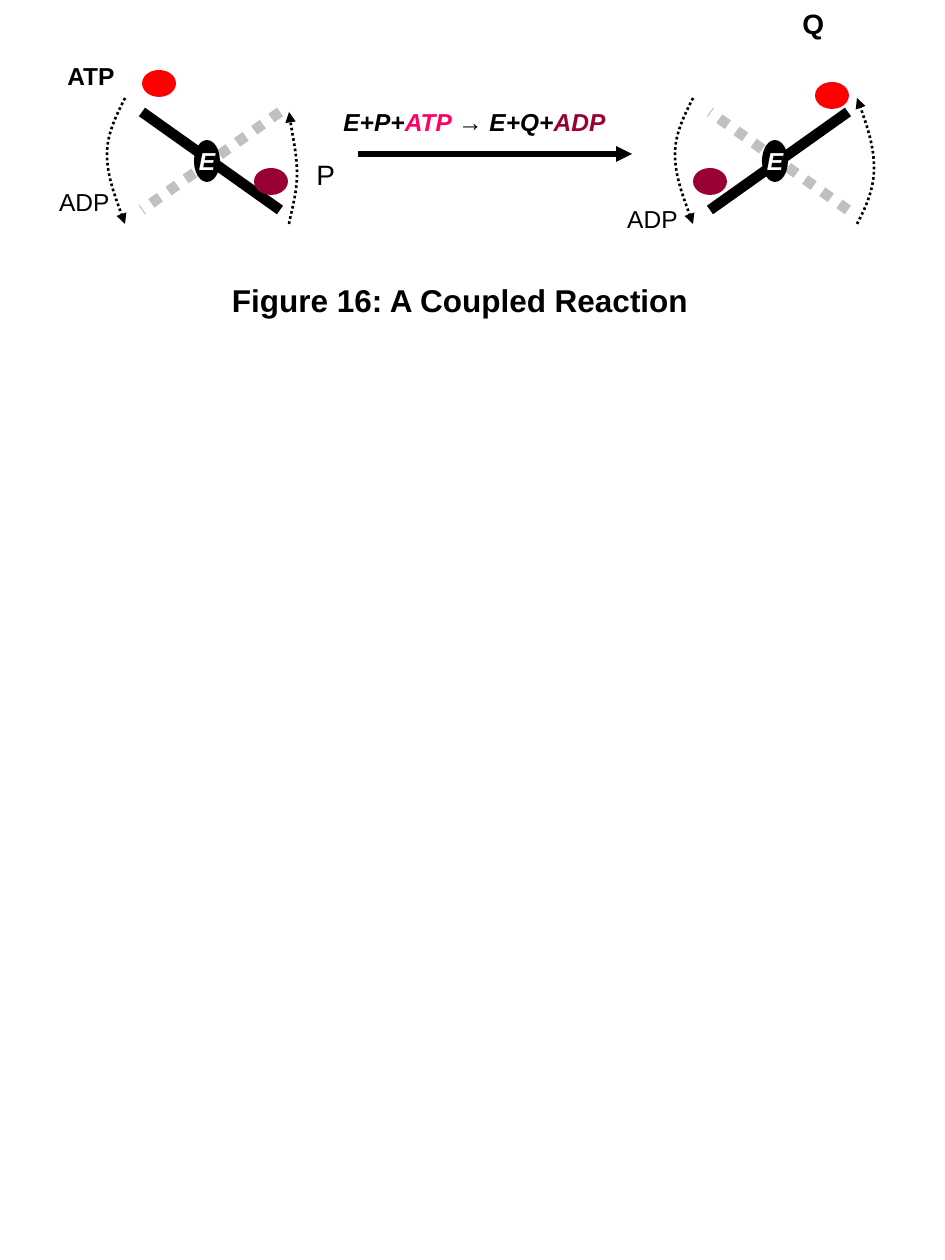
from lxml import etree
from pptx import Presentation
from pptx.dml.color import RGBColor
from pptx.enum import dml, shapes, text
from pptx.oxml.ns import qn
from pptx.util import Pt

PX = 914400 / 126
BLACK = RGBColor(0, 0, 0)
WHITE = RGBColor(255, 255, 255)
GREY = RGBColor(0xC0, 0xC0, 0xC0)
RED = RGBColor(255, 0, 0)
PINK = RGBColor(0xFF, 0, 0x66)
WINE = RGBColor(0x99, 0, 0x33)
LEFT, RIGHT = text.PP_ALIGN.LEFT, text.PP_ALIGN.RIGHT
MID = text.PP_ALIGN.CENTER
DOTS = dml.MSO_LINE.ROUND_DOT


def emu(*vals):
    return [round(v * PX) for v in vals]


class Figure:
    def __init__(self, deck):
        self.font = "Arial"
        self.slide = deck.slides.add_slide(deck.slide_layouts[6])
        self.items = self.slide.shapes

    def letter(self, frame, runs, size, align, bold, ital):
        """Fill a frame with one paragraph of (text, colour) runs."""
        para = frame.paragraphs[0]
        para.alignment = align
        font = para.font
        font.name, font.bold, font.italic = self.font, bold, ital
        font.size = Pt(size)
        for words, hue in runs:
            run = para.add_run()
            run.text = words
            run.font.color.rgb = hue

    def label(self, box, runs, size=14, align=LEFT, bold=False, ital=False,
              wrap=False):
        frame = self.items.add_textbox(*emu(*box)).text_frame
        frame.word_wrap = wrap
        frame.auto_size = text.MSO_AUTO_SIZE.SHAPE_TO_FIT_TEXT
        if isinstance(runs, str):
            runs = [(runs, BLACK)]
        self.letter(frame, runs, size, align, bold, ital)

    def stroke(self, item, hue, width, dash=None, head=False):
        line = item.line
        line.color.rgb = hue
        line.width = Pt(width)
        if dash:
            line.dash_style = dash
        if head:
            ln = item._element.spPr.find(qn("a:ln"))
            etree.SubElement(ln, qn("a:tailEnd"), type="triangle")

    def line(self, start, end, hue, width, dash=None, head=False):
        item = self.items.add_connector(shapes.MSO_CONNECTOR.STRAIGHT,
                                        *emu(*start, *end))
        self.stroke(item, hue, width, dash, head)
        etree.SubElement(item._element.spPr, qn("a:effectLst"))

    def oval(self, box, hue):
        item = self.items.add_shape(shapes.MSO_SHAPE.OVAL, *emu(*box))
        item.shadow.inherit = False
        item.fill.solid()
        item.fill.fore_color.rgb = hue
        item.line.fill.background()
        return item

    def hub(self, x):
        frame = self.oval((x - 13, 140, 26, 42), BLACK).text_frame
        frame.word_wrap = False
        frame.vertical_anchor = text.MSO_ANCHOR.MIDDLE
        frame.margin_left = frame.margin_right = 0
        frame.margin_top = frame.margin_bottom = 0
        self.letter(frame, [("E", WHITE)], 14, MID, True, True)

    def curve(self, start, *rest):
        """Draw a dotted arrow; each three points of rest make one Bezier."""
        form = self.items.build_freeform(*start, scale=PX)
        form.add_line_segments(rest, close=False)
        item = form.convert_to_shape()
        item.shadow.inherit = False
        item.fill.background()
        self.stroke(item, BLACK, 1.5, DOTS, True)
        track = item._element.find(".//" + qn("a:path"))
        steps = track.findall(qn("a:lnTo"))
        for i in range(0, len(steps), 3):
            bend = etree.SubElement(track, qn("a:cubicBezTo"))
            for step in steps[i:i + 3]:
                bend.append(step[0])
                track.remove(step)

    def cross(self, x, falls):
        """Draw two crossing bars; the black one falls or rises."""
        down = (x - 65, 112), (x + 73, 210)
        up = (x - 65, 210), (x + 73, 112)
        black, grey = (down, up) if falls else (up, down)
        self.line(grey[1], grey[0], GREY, 6, DOTS)
        self.line(*black, BLACK, 6)
        self.hub(x)
        self.curve((x - 82, 98), (x - 91, 116), (x - 100, 134),
                   (x - 100, 154), (x - 100, 175), (x - 91, 199),
                   (x - 82, 224))


def main():
    deck = Presentation()
    deck.slide_width, deck.slide_height = emu(945, 1260)
    fig = Figure(deck)

    fig.cross(207, True)
    fig.curve((289, 224), (292, 208), (297, 193), (297, 174),
              (297, 155), (292, 134), (289, 112))
    fig.cross(775, False)
    fig.curve((857, 224), (866, 207), (874, 189), (874, 168),
              (874, 147), (866, 122), (857, 98))

    for x, y, hue in [(142, 70, RED), (254, 168, WINE),
                      (815, 82, RED), (693, 168, WINE)]:
        fig.oval((x, y, 34, 27), hue)

    fig.label((55, 55, 74, 43), "ATP", bold=True)
    fig.label((0, 181, 122, 43), "ADP", align=RIGHT, wrap=True)
    fig.label((597, 198, 93, 43), "ADP", align=RIGHT, wrap=True)
    fig.label((304, 151, 44, 47), "P", 16)
    fig.label((790, 0, 47, 47), "Q", 16, bold=True)

    fig.label((331, 101, 290, 43),
              [("E+P+", BLACK), ("ATP ", PINK), ("→ E+Q+", BLACK),
               ("ADP", WINE)], bold=True, ital=True)
    fig.line((358, 154), (632, 154), BLACK, 3, head=True)
    fig.label((218, 275, 484, 50), "Figure 16: A Coupled Reaction", 18,
              MID, bold=True)
    deck.save("out.pptx")


if __name__ == "__main__":
    main()
